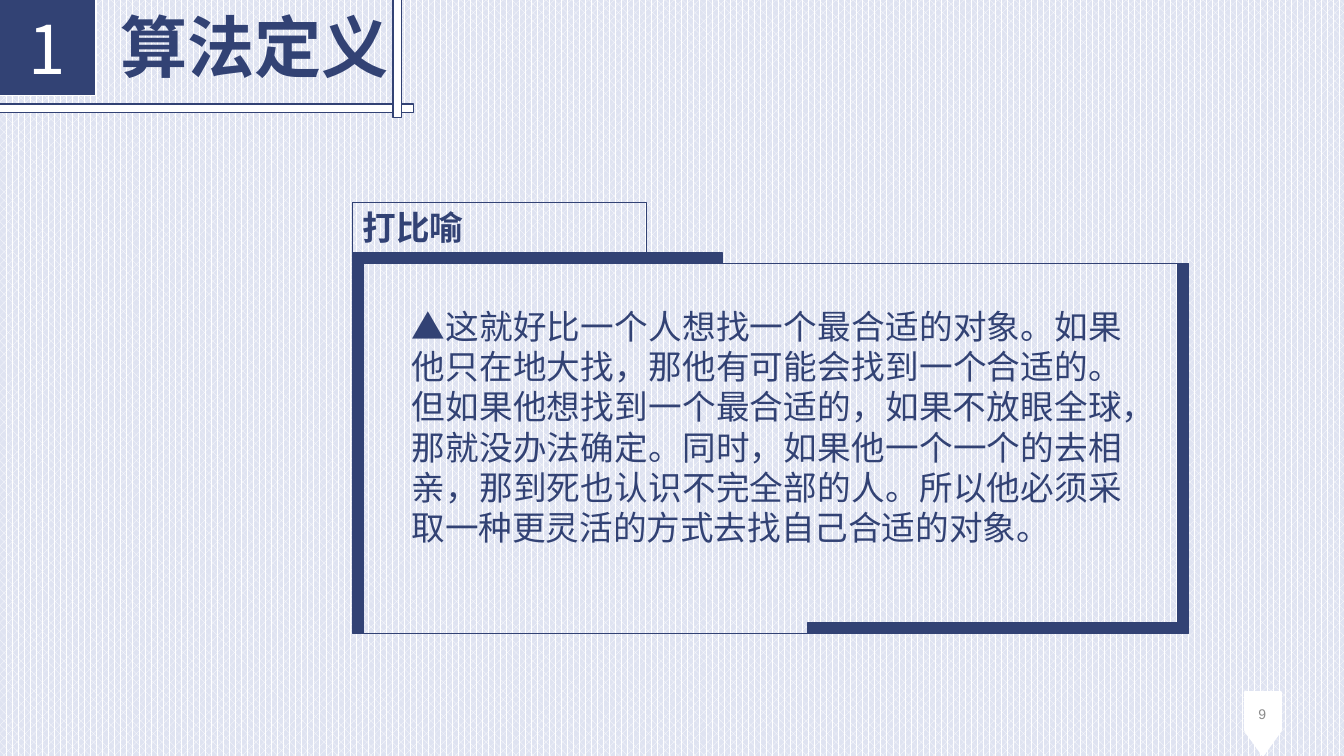
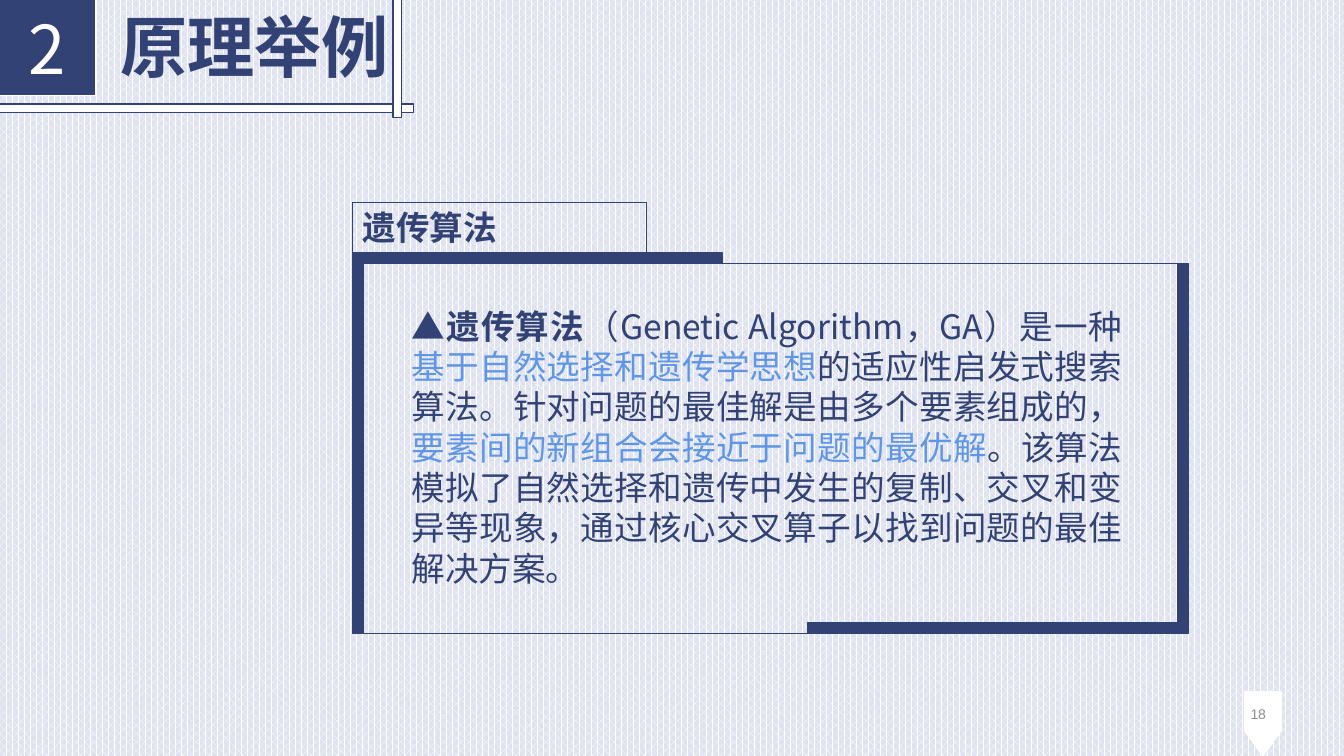
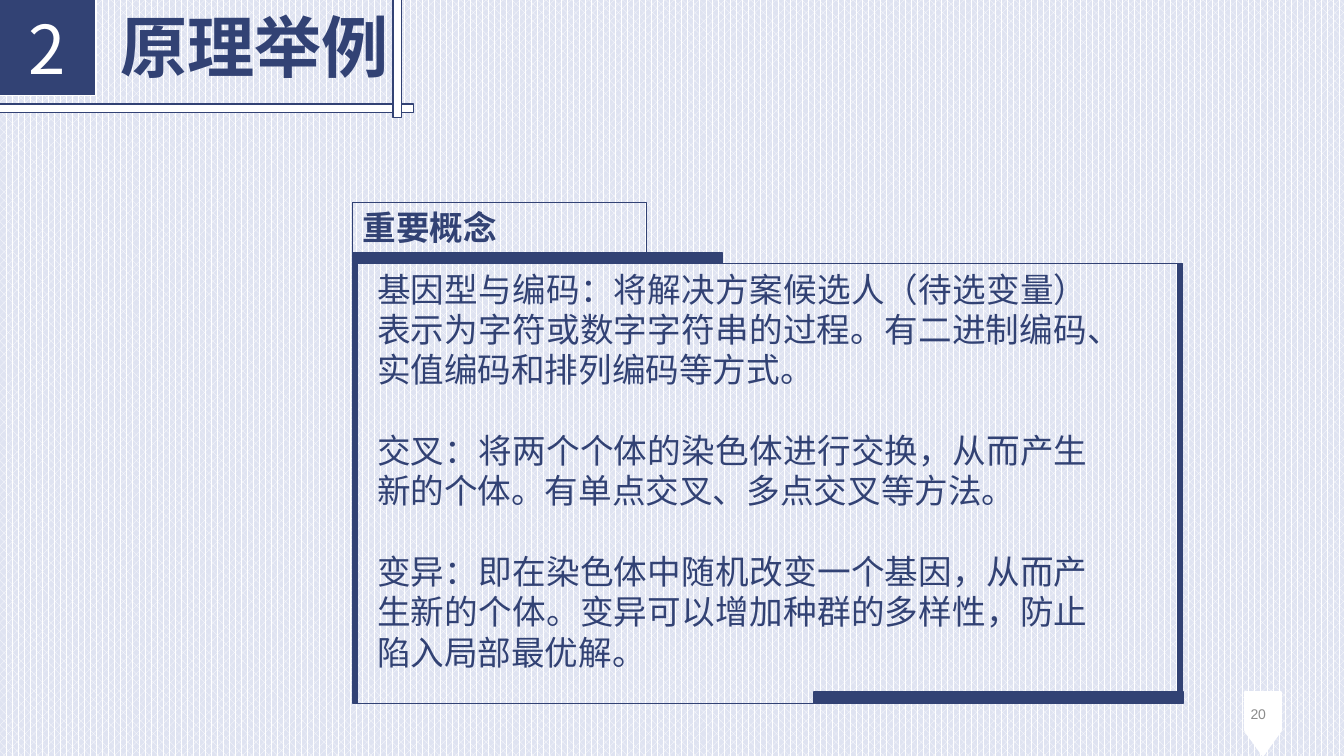
from dataclasses import dataclass

from lxml.etree import SubElement
from pptx import Presentation
from pptx.dml.color import RGBColor
from pptx.enum.dml import MSO_PATTERN
from pptx.enum.shapes import MSO_CONNECTOR, MSO_SHAPE
from pptx.enum.text import MSO_ANCHOR, MSO_AUTO_SIZE, PP_ALIGN
from pptx.oxml.ns import qn
from pptx.util import Pt


@dataclass(frozen=True)
class Theme:
    navy: RGBColor = RGBColor.from_string("324274")
    blue: RGBColor = RGBColor.from_string("6096E6")
    pale: RGBColor = RGBColor.from_string("DFE3F1")
    gray: RGBColor = RGBColor.from_string("8C8C8C")
    white: RGBColor = RGBColor.from_string("FFFFFF")
    face: str = "Noto Sans CJK SC"
    plain: str = "Arial"
    big: int = 48
    mid: int = 24
    small: int = 10
    lead: float = 1.2


@dataclass(frozen=True)
class Frame:
    deep: float = 44
    thick: float = 1.3
    foot: float = 96.2
    left: float = 42
    right: float = 140.2
    top: float = 31.4
    bar: float = 44
    edge: float = 1.3


THEME = Theme()
COLS, ROWS, CELL = 160, 90, 76200
WIDE = Frame()
TALL = Frame(deep=52.3, thick=0.6, foot=96.9)
NOTE = (47.8, 35.8, 87, 35)
LIST = (43.7, 31.4, 87, 50)


def grid(*cells):
    return [round(cell * CELL) for cell in cells]


def style(para, size, color, bold=False, face=THEME.face, align=PP_ALIGN.LEFT):
    para.alignment = align
    para.line_spacing = Pt(size * THEME.lead)
    font = para.font
    font.size, font.bold, font.name = Pt(size), bold, face
    font.color.rgb = color
    east = SubElement(para._p.pPr.find(qn("a:defRPr")), qn("a:ea"))
    east.set("typeface", face)


def write(shape, text, size, color, anchor=MSO_ANCHOR.TOP, **look):
    frame = shape.text_frame
    frame.word_wrap = True
    frame.auto_size = MSO_AUTO_SIZE.NONE
    frame.vertical_anchor = anchor
    frame.text = text
    style(frame.paragraphs[0], size, color, **look)


def block(slide, at, fill=None, line=THEME.navy, width=1, kind=MSO_SHAPE.RECTANGLE):
    shape = slide.shapes.add_shape(kind, *grid(*at))
    shape.shadow.inherit = False
    if fill is None:
        shape.fill.background()
    else:
        shape.fill.solid()
        shape.fill.fore_color.rgb = fill
    shape.line.color.rgb = line
    shape.line.width = Pt(width)
    return shape


def rule(slide, start, end):
    line = slide.shapes.add_connector(MSO_CONNECTOR.STRAIGHT, *grid(*start, *end))
    line.line.color.rgb = THEME.navy
    line.line.width = Pt(0.5)
    SubElement(line._element.spPr, qn("a:effectLst"))
    return line


def badge(slide, number):
    white = THEME.white
    block(slide, (148.2, 82.4, 4.3, 4.6), white, white)
    label = slide.shapes.add_textbox(*grid(116.5, 82.9, 35.4, 4.2))
    write(label, number, THEME.small, THEME.gray, MSO_ANCHOR.MIDDLE,
          face=THEME.plain, align=PP_ALIGN.RIGHT)
    tip = block(slide, (148.2, 87, 4.3, 3), white, white, kind=MSO_SHAPE.ISOSCELES_TRIANGLE)
    tip.rotation = 180


def header(slide, number, text):
    square = block(slide, (-0.1, -0.1, 11.5, 11.5), THEME.navy, THEME.white)
    write(square, number, THEME.big, THEME.white, MSO_ANCHOR.MIDDLE, align=PP_ALIGN.CENTER)
    title = slide.shapes.title
    title.left, title.top, title.width, title.height = grid(13.1, 0, 51.4, 10.9)
    write(title, text, THEME.big, THEME.navy, bold=True)
    for at in ((-0.1, 12.4, 49.3, 1), (46.8, -0.4, 1, 14.4)):
        block(slide, at, THEME.white)


def body(slide, at, paras):
    box = slide.shapes.add_textbox(*grid(*at))
    frame = box.text_frame
    frame.word_wrap = True
    for index, runs in enumerate(paras):
        para = frame.add_paragraph() if index else frame.paragraphs[0]
        style(para, THEME.mid, THEME.navy, align=PP_ALIGN.JUSTIFY)
        if index:
            para.space_before = Pt(THEME.mid * THEME.lead)
        for text, mark in runs:
            run = para.add_run()
            run.text = text
            if mark == "bold":
                run.font.bold = True
            elif mark == "blue":
                run.font.color.rgb = THEME.blue


def panel(slide, frame, label):
    low = frame.top + frame.deep
    bars = [
        (frame.left, frame.top, frame.thick, frame.deep),
        (frame.right, frame.top, frame.thick, frame.deep),
        (frame.left, frame.top - frame.edge, frame.bar, frame.edge),
        (frame.foot, low - frame.edge, frame.bar, frame.edge),
    ]
    side = [block(slide, at, THEME.navy) for at in bars][0]
    base = rule(slide, (frame.left, low), (frame.foot + 2, low))
    base.begin_connect(side, 2)
    rule(slide, (84.5, frame.top), (frame.right, frame.top))
    tag = block(slide, (frame.left, 24.1, 35, 6), width=0.75)
    write(tag, label, THEME.mid, THEME.navy, bold=True)


def page(deck, number, part, title, label, frame, at, paras):
    slide = deck.slides.add_slide(deck.slide_layouts[5])
    fill = slide.background.fill
    fill.patterned()
    fill.pattern = MSO_PATTERN.PERCENT_60
    fill.fore_color.rgb, fill.back_color.rgb = THEME.white, THEME.pale
    badge(slide, number)
    header(slide, part, title)
    body(slide, at, paras)
    panel(slide, frame, label)


def main():
    deck = Presentation()
    deck.slide_width, deck.slide_height = grid(COLS, ROWS)
    page(deck, "9", "1", "算法定义", "打比喻", WIDE, NOTE, [[
        ("▲这就好比一个人想找一个最合适的对象。如果他只在地大找，那他有可能会找到一个合适的。"
         "但如果他想找到一个最合适的，如果不放眼全球，那就没办法确定。"
         "同时，如果他一个一个的去相亲，那到死也认识不完全部的人。"
         "所以他必须采取一种更灵活的方式去找自己合适的对象。", None),
    ]])
    page(deck, "18", "2", "原理举例", "遗传算法", WIDE, NOTE, [[
        ("▲", None),
        ("遗传算法", "bold"),
        ("（Genetic Algorithm，GA）是一种", None),
        ("基于自然选择和遗传学思想", "blue"),
        ("的适应性启发式搜索算法。针对问题的最佳解是由多个要素组成的，", None),
        ("要素间的新组合会接近于问题的最优解", "blue"),
        ("。该算法模拟了自然选择和遗传中发生的复制、交叉和变异等现象，"
         "通过核心交叉算子以找到问题的最佳解决方案。", None),
    ]])
    page(deck, "20", "2", "原理举例", "重要概念", TALL, LIST, [
        [("基因型与编码：将解决方案候选人（待选变量）表示为字符或数字字符串的过程。"
          "有二进制编码、实值编码和排列编码等方式。", None)],
        [("交叉：将两个个体的染色体进行交换，从而产生新的个体。"
          "有单点交叉、多点交叉等方法。", None)],
        [("变异：即在染色体中随机改变一个基因，从而产生新的个体。"
          "变异可以增加种群的多样性，防止陷入局部最优解。", None)],
    ])
    deck.save("out.pptx")


if __name__ == "__main__":
    main()
